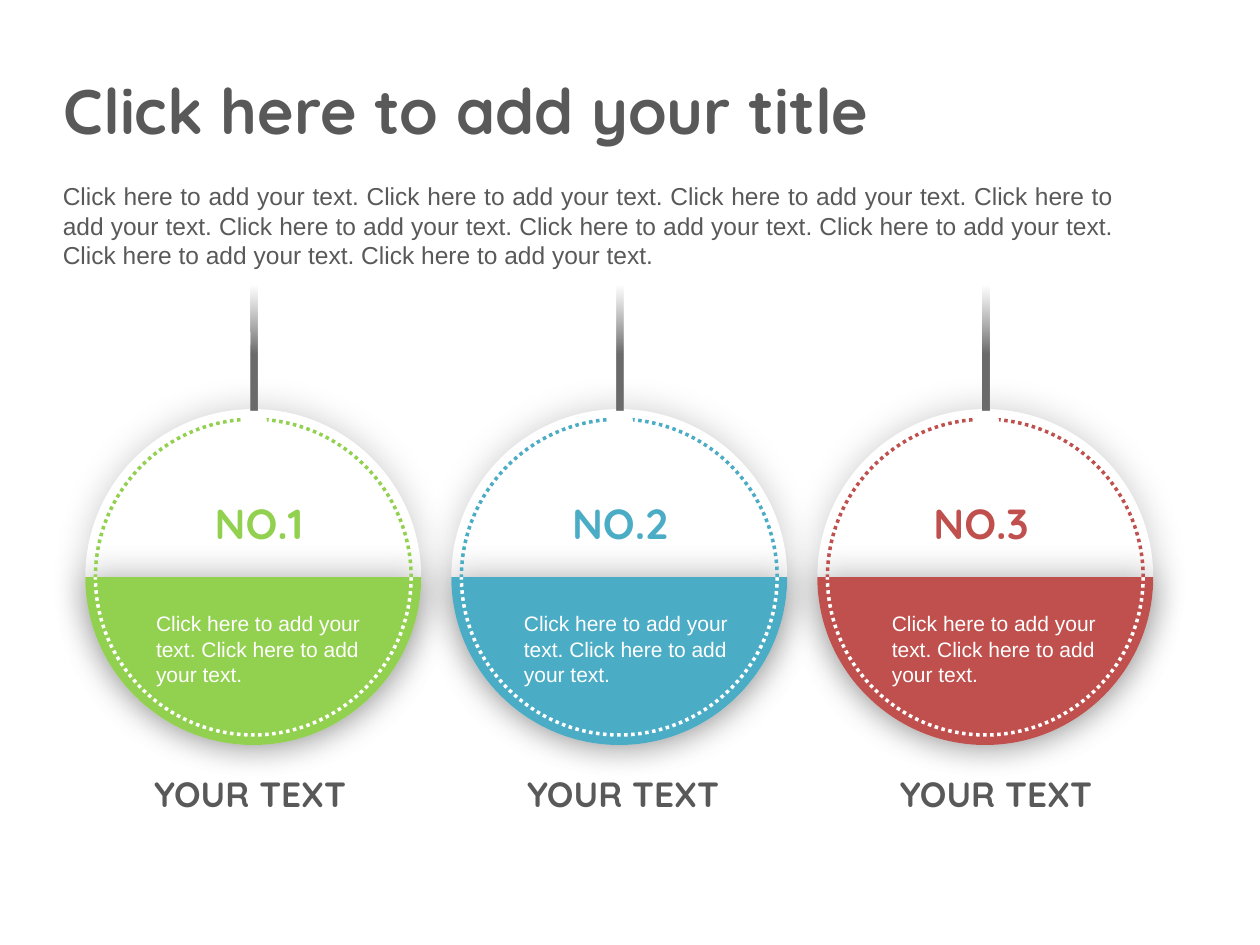
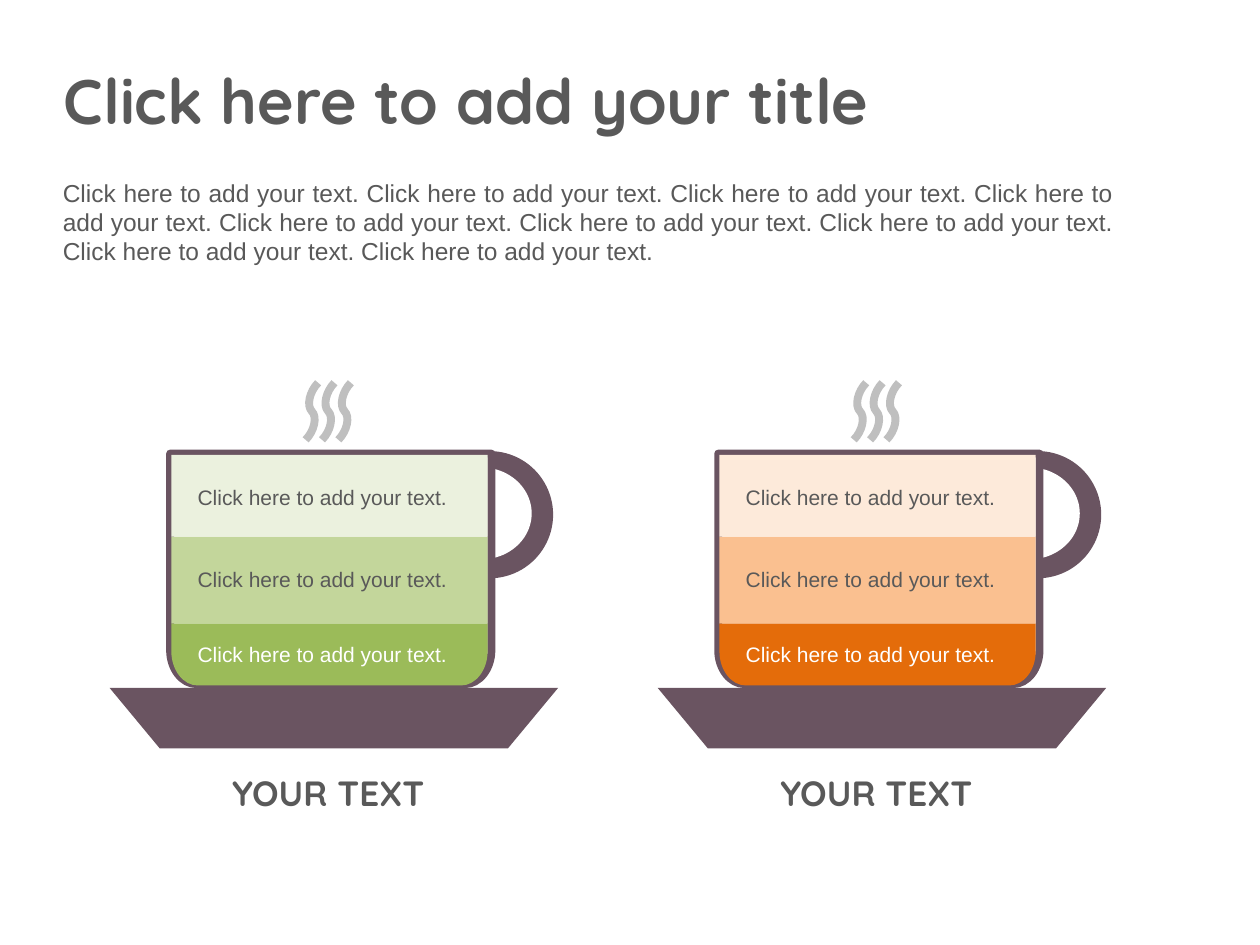
import lxml.etree
import pptx
import pptx.dml.color
import pptx.enum.dml
import pptx.enum.shapes
import pptx.enum.text
import pptx.oxml
import pptx.util

SHAPE = pptx.enum.shapes.MSO_SHAPE
ALIGN = pptx.enum.text.PP_ALIGN
SPACE = 'xmlns:a="http://schemas.openxmlformats.org/drawingml/2006/main"'
GREY, WHITE, PLUM, STEAM = "595959", "FFFFFF", "6A5461", "BFBFBF"
FILLER = "Click here to add your text."
ROUND = 0.55
FORMATS = {
    "title": {"size": 36, "name": "Quicksand", "bold": True, "align": ALIGN.RIGHT},
    "intro": {"size": 14, "name": "Arial", "align": ALIGN.JUSTIFY},
    "label": {"size": 20, "name": "Quicksand", "bold": True,
              "align": ALIGN.CENTER, "line": 0.8},
    "number": {"size": 24, "name": "Quicksand", "bold": True,
               "align": ALIGN.CENTER, "line": 0.8},
    "note": {"size": 12, "name": "Arial", "align": ALIGN.LEFT},
    "level": {"size": 12, "name": "Arial", "align": ALIGN.JUSTIFY},
}


def color(code):
    return pptx.dml.color.RGBColor.from_string(code)


def tag(name):
    return pptx.oxml.ns.qn(name)


def bend(start, corner, end):
    """Curve of a quarter ellipse from start to end, inside the given corner."""
    pulls = [tuple(p + ROUND * (c - p) for p, c in zip(point, corner))
             for point in (start, end)]
    return [*pulls, end]


def arch(x, y, wide, high):
    """Half ellipse from the right to the left; a negative height bulges upwards."""
    right, low, left = (x + wide, y), (x, y + high), (x - wide, y)
    return [bend(right, (x + wide, y + high), low), bend(low, (x - wide, y + high), left)]


def bowl(left, top, wide, high, round_x, round_y):
    """Outline with a flat top and rounded bottom corners."""
    right, foot = left + wide, top + high
    base = foot - round_y
    return [[(left, top)], [(right, top)], [(right, base)],
            bend((right, base), (right, foot), (right - round_x, foot)),
            [(left + round_x, foot)],
            bend((left + round_x, foot), (left, foot), (left, base))]


class Deck:
    """Holds the style and the current slide, on a grid of 10 columns by 7.5 rows."""

    def __init__(self):
        self.show = pptx.Presentation()
        self.show.slide_width = pptx.util.Inches(10)
        self.show.slide_height = pptx.util.Inches(7.5)
        self.cell = self.show.slide_width / 10
        self.slide = None

    def grid(self, *sizes):
        return [round(size * self.cell) for size in sizes]

    def page(self, title_top, intro_top):
        self.slide = self.show.slides.add_slide(self.show.slide_layouts[6])
        self.text("Click here to add your title", "title", (0.22, title_top, 6.77, 0.71))
        self.text(" ".join([FILLER] * 9), "intro", (0.4, intro_top, 8.54, 0.81))

    def text(self, words, style, box, ink=GREY):
        form = FORMATS[style]
        shape = self.slide.shapes.add_textbox(*self.grid(*box))
        frame = shape.text_frame
        frame.word_wrap = True
        frame.auto_size = pptx.enum.text.MSO_AUTO_SIZE.SHAPE_TO_FIT_TEXT
        part = frame.paragraphs[0]
        part.alignment = form["align"]
        part.line_spacing = form.get("line")
        run = part.add_run()
        run.text = words
        values = {"size": pptx.util.Pt(form["size"]), "name": form["name"],
                  "bold": form.get("bold", False)}
        for key, value in values.items():
            setattr(run.font, key, value)
        run.font.color.rgb = color(ink)

    def paint(self, shape, fill=None, line=None, width=0, dash=None):
        shape.shadow.inherit = False
        if fill:
            shape.fill.solid()
            shape.fill.fore_color.rgb = color(fill)
        else:
            shape.fill.background()
        if line:
            shape.line.color.rgb = color(line)
            shape.line.width = pptx.util.Pt(width)
            shape.line.dash_style = dash
        else:
            shape.line.fill.background()
        return shape

    def shape(self, kind, box, fill):
        return self.paint(self.slide.shapes.add_shape(kind, *self.grid(*box)), fill)

    def free(self, parts, close=True, **look):
        """Draw an outline; a part of one point is a line, of three a curve."""
        spots = [self.grid(*point) for part in parts for point in part]
        build = self.slide.shapes.build_freeform(*spots[0], scale=1.0)
        build.add_line_segments(spots[1:], close=close)
        shape = build.convert_to_shape()
        lines = iter(list(shape._element.spPr.iter(tag("a:lnTo"))))
        for part in parts[1:]:
            steps = [next(lines) for _ in part]
            if len(steps) == 3:
                curve = lxml.etree.Element(tag("a:cubicBezTo"))
                steps[0].addprevious(curve)
                for step in steps:
                    curve.append(step[0])
                    step.getparent().remove(step)
        return self.paint(shape, **look)

    def glow(self, shape, blur, alpha):
        """Give a soft black shadow without offset."""
        effects = shape._element.spPr.find(tag("a:effectLst"))
        effects.append(pptx.oxml.parse_xml(
            f'<a:outerShdw {SPACE} blurRad="{pptx.util.Pt(blur)}" dist="0" dir="0" '
            f'algn="ctr" rotWithShape="0"><a:srgbClr val="000000">'
            f'<a:alpha val="{alpha * 1000}"/></a:srgbClr></a:outerShdw>'))

    def rod(self, box):
        """Bar that fades out towards its top."""
        shape = self.shape(SHAPE.RECTANGLE, box, GREY)
        solid = shape._element.spPr.find(tag("a:solidFill"))
        solid.getparent().replace(solid, pptx.oxml.parse_xml(
            f'<a:gradFill {SPACE} rotWithShape="1"><a:gsLst>'
            '<a:gs pos="45000"><a:srgbClr val="6B6B6B"/></a:gs>'
            '<a:gs pos="100000"><a:srgbClr val="808080"><a:alpha val="0"/></a:srgbClr></a:gs>'
            '</a:gsLst><a:lin ang="16200000" scaled="0"/></a:gradFill>'))

    def steam(self, left, top):
        group = self.slide.shapes.add_group_shape()
        for i in range(3):
            x = left + 0.13 * i
            ends = self.grid(x, top + 0.25, x + 0.39, top)
            wave = group.shapes.add_connector(pptx.enum.shapes.MSO_CONNECTOR.CURVE, *ends)
            wave.line.color.rgb = color(STEAM)
            wave.line.width = pptx.util.Pt(4.5)
            frame = wave._element.spPr
            frame.xfrm.set("rot", str(315 * 60000))
            lxml.etree.SubElement(frame, tag("a:effectLst"))

    def badge(self, i, ink):
        x, y, half, inner = 2.01 + 2.905 * i, 4.58, 1.333, 1.253
        left, top = x - half, y - half
        dots = pptx.enum.dml.MSO_LINE.ROUND_DOT
        disc = self.shape(SHAPE.OVAL, (left, top, 2 * half, 2 * half), WHITE)
        self.glow(disc, 20, 20)
        base = self.free([[(left, y)], [(x + half, y)], *arch(x, y, half, half)], fill=ink)
        self.glow(base, 20, 32)
        for line, high in ((WHITE, inner), (ink, -inner)):
            self.free([[(x + inner, y)], *arch(x, y, inner, high)], close=False,
                      line=line, width=2, dash=dots)
        self.shape(SHAPE.OVAL, (x - 0.1, top, 0.21, 0.21), WHITE)
        self.rod((x - 0.02, 2.27, 0.05, 0.99))
        self.text("YOUR TEXT", "label", (0.99 + 2.96 * i, 6.15, 1.99, 0.37))
        self.text(f"NO.{i + 1}", "number", (1.06 + 2.865 * i, 3.98, 1.99, 0.42), ink)
        self.text(f"{FILLER} {FILLER}", "note", (1.14 + 2.92 * i, 4.8, 1.96, 0.71), WHITE)

    def cup(self, left, tints):
        """Cup on a saucer, filled with three levels from top to bottom."""
        self.shape(SHAPE.OVAL, (left + 2.51, 3.58, 1.01, 1.01), PLUM)
        self.shape(SHAPE.OVAL, (left + 2.55, 3.71, 0.8, 0.73), WHITE)
        plate = self.shape(SHAPE.TRAPEZOID, (left, 5.46, 3.56, 0.48), PLUM)
        plate.adjustments[0] = 0.83
        plate._element.spPr.xfrm.set("flipV", "1")
        self.free(bowl(left + 0.48, 3.6, 2.55, 1.83, 0.21, 0.27),
                  fill=WHITE, line=PLUM, width=4.5)
        inside = left + 0.49
        self.shape(SHAPE.RECTANGLE, (inside, 4.26, 2.51, 0.69), tints[1])
        self.free(bowl(inside, 4.95, 2.51, 0.49, 0.21, 0.27), fill=tints[2])
        self.steam(left + 1.41, 3.14)
        self.shape(SHAPE.RECTANGLE, (inside, 3.61, 2.51, 0.65), tints[0])
        self.text("YOUR TEXT", "label", (left + 0.74, 6.14, 1.99, 0.37))
        for top, ink in ((5.04, WHITE), (4.45, GREY), (3.8, GREY)):
            self.text(FILLER, "level", (left + 0.6, top, 2.27, 0.3), ink)


def main():
    deck = Deck()
    deck.page(0.52, 1.39)
    for i, ink in enumerate(("92D050", "4BACC6", "C0504D")):
        deck.badge(i, ink)
    deck.page(0.44, 1.36)
    deck.cup(0.87, ("EBF1DE", "C3D69B", "9BBB59"))
    deck.cup(5.22, ("FDEADA", "FAC090", "E46C0A"))
    deck.show.save("out.pptx")


if __name__ == "__main__":
    main()
